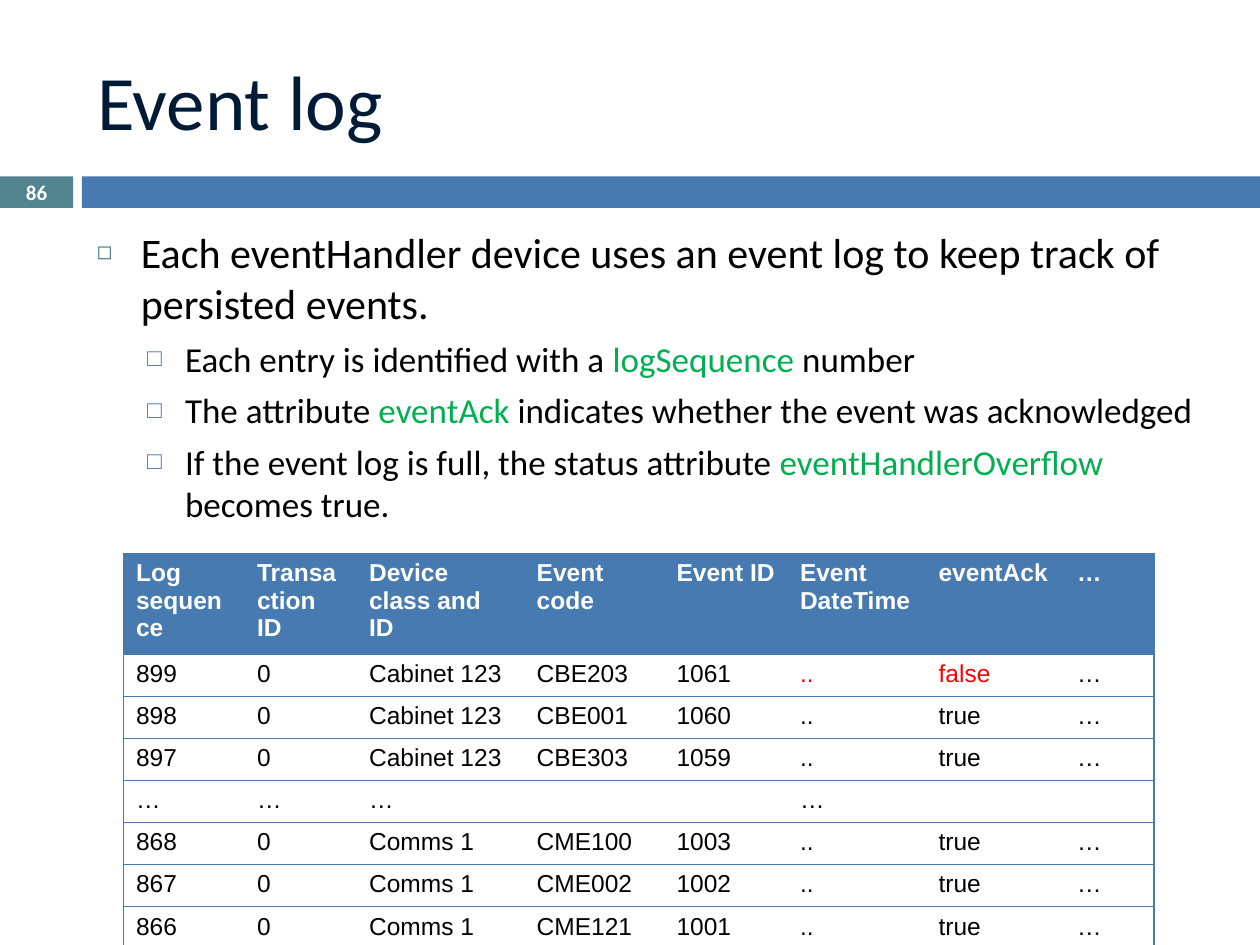
from lxml import etree
from pptx import Presentation
from pptx.dml.color import RGBColor
from pptx.enum.shapes import MSO_SHAPE
from pptx.enum.text import MSO_ANCHOR, MSO_AUTO_SIZE, PP_ALIGN
from pptx.oxml.ns import qn
from pptx.util import Emu, Inches, Pt

RECTANGLE = MSO_SHAPE.RECTANGLE
MIDDLE = MSO_ANCHOR.MIDDLE
NO_AUTOFIT = MSO_AUTO_SIZE.NONE
LEFT, CENTER = PP_ALIGN.LEFT, PP_ALIGN.CENTER

COLORS = {
    "title": "001B36", "text": "000000", "white": "FFFFFF", "blue": "477AB1",
    "teal": "51848E", "keyword": "00B050", "alert": "FF0000",
}
TITLE_ONLY = 5
NO_TABLE_STYLE = "{2D5ABB26-0587-4C30-8999-92F81FD0307C}"

MARGIN, CONTENT_WIDTH = 0.67, 8.92
BAND_TOP, BAND_HEIGHT = 1.4, 0.25
NUMBER_WIDTH, BAND_LEFT = 0.58, 0.65

# Per level: indent, hanging, space before, size, bullet, bullet colour, bullet %
LEVELS = [
    (0.35, 0.35, 7, 24, "◻", "teal", 60),
    (0.7, 0.3, 5.5, 20, "□", "blue", 70),
]
# Each point: level, then (text, colour) runs
POINTS = [
    (0, [("Each eventHandler device uses an event log to keep track of "
          "persisted events.", "text")]),
    (1, [("Each entry is identified with a ", "text"),
         ("logSequence", "keyword"), (" number", "text")]),
    (1, [("The attribute ", "text"), ("eventAck", "keyword"),
         (" indicates whether the event was acknowledged", "text")]),
    (1, [("If the event log is full, the status attribute ", "text"),
         ("eventHandlerOverflow", "keyword"), (" becomes true.", "text")]),
]

LOG_COLUMNS = [
    ("Log sequence", 0.96), ("Transaction ID", 0.89),
    ("Device class and ID", 1.33), ("Event code", 1.11), ("Event ID", 0.98),
    ("Event DateTime", 1.1), ("eventAck", 1.1), ("…", 0.71),
]
LOG_ROWS = [
    ("899", "0", "Cabinet 123", "CBE203", "1061", "..", "false", "…"),
    ("898", "0", "Cabinet 123", "CBE001", "1060", "..", "true", "…"),
    ("897", "0", "Cabinet 123", "CBE303", "1059", "..", "true", "…"),
    ("…", "…", "…", "", "", "…", "", ""),
    ("868", "0", "Comms 1", "CME100", "1003", "..", "true", "…"),
    ("867", "0", "Comms 1", "CME002", "1002", "..", "true", "…"),
    ("866", "0", "Comms 1", "CME121", "1001", "..", "true", "…"),
]
ALERT_CELLS = {(1, 5), (1, 6)}
# Minimum heights: each row grows to fit its text
HEADER_HEIGHT, ROW_HEIGHT, LOG_HEIGHT = 0.4, 0.24, 2.9
LOG_TEXT_SIZE = 14


def rgb(name):
    return RGBColor.from_string(COLORS[name])


def add_run(paragraph, text, size, color, font="Calibri", bold=False):
    run = paragraph.add_run()
    run.text = text
    run.font.size = Pt(size)
    run.font.name = font
    run.font.bold = bold
    run.font.color.rgb = rgb(color)


def add_title(slide, text):
    title = slide.shapes.title
    title.left, title.top = Inches(MARGIN), Inches(0.25)
    title.width, title.height = Inches(CONTENT_WIDTH), Inches(1.08)
    frame = title.text_frame
    frame.auto_size = NO_AUTOFIT
    frame.vertical_anchor = MIDDLE
    frame.paragraphs[0].alignment = LEFT
    add_run(frame.paragraphs[0], text, 44, "title")


def add_band(slide, left, width, color):
    band = slide.shapes.add_shape(RECTANGLE, Inches(left), Inches(BAND_TOP),
                                  Inches(width), Inches(BAND_HEIGHT))
    band.shadow.inherit = False
    band.fill.solid()
    band.fill.fore_color.rgb = rgb(color)
    band.line.fill.background()


def add_text_box(slide, left, top, width, height):
    box = slide.shapes.add_textbox(Inches(left), Inches(top),
                                   Inches(width), Inches(height))
    box.text_frame.word_wrap = True
    return box.text_frame


def add_page_number(slide, number):
    frame = add_text_box(slide, 0, BAND_TOP, NUMBER_WIDTH, BAND_HEIGHT)
    frame.margin_top = frame.margin_bottom = 0
    frame.vertical_anchor = MIDDLE
    frame.paragraphs[0].alignment = CENTER
    add_run(frame.paragraphs[0], number, 12, "white", bold=True)


def set_bullet(paragraph, indent, hanging, char, color, percent):
    props = paragraph._p.get_or_add_pPr()
    props.set("marL", str(Inches(indent)))
    props.set("indent", str(-Inches(hanging)))
    bullet_color = etree.SubElement(props, qn("a:buClr"))
    etree.SubElement(bullet_color, qn("a:srgbClr"), val=COLORS[color])
    etree.SubElement(props, qn("a:buSzPct"), val=str(percent * 1000))
    etree.SubElement(props, qn("a:buFont"), typeface="Arial")
    etree.SubElement(props, qn("a:buChar"), char=char)


def add_points(slide):
    frame = add_text_box(slide, MARGIN, 1.75, CONTENT_WIDTH, 2.31)
    for index, (level, runs) in enumerate(POINTS):
        paragraph = frame.add_paragraph() if index else frame.paragraphs[0]
        indent, hanging, before, size, char, color, percent = LEVELS[level]
        paragraph.level = level
        paragraph.space_before = Pt(before)
        set_bullet(paragraph, indent, hanging, char, color, percent)
        for text, run_color in runs:
            add_run(paragraph, text, size, run_color)


def set_borders(cell, sides):
    props = cell._tc.get_or_add_tcPr()
    for side in sides:
        line = etree.SubElement(props, qn(f"a:ln{side}"), w=str(Pt(0.79)))
        fill = etree.SubElement(line, qn("a:solidFill"))
        etree.SubElement(fill, qn("a:srgbClr"), val=COLORS["blue"])


def format_log_cell(cell, text, row, column):
    is_header = row == 0
    set_borders(cell, ("L" if column == 0 else "")
                + ("R" if column == len(LOG_COLUMNS) - 1 else "") + "TB")
    if is_header:
        cell.fill.solid()
        cell.fill.fore_color.rgb = rgb("blue")
    else:
        cell.fill.background()
    color = "white" if is_header else "text"
    if (row, column) in ALERT_CELLS:
        color = "alert"
    paragraph = cell.text_frame.paragraphs[0]
    if text:
        add_run(paragraph, text, LOG_TEXT_SIZE, color, "Arial", is_header)
    else:
        # An empty cell must not stretch its row with the default text size
        etree.SubElement(paragraph._p, qn("a:endParaRPr"),
                         sz=str(LOG_TEXT_SIZE * 100))


def add_event_log(slide):
    headers, widths = zip(*LOG_COLUMNS)
    rows = [headers] + LOG_ROWS
    log = slide.shapes.add_table(
        len(rows), len(headers), Inches(0.98), Inches(4.39),
        Emu(sum(Inches(width) for width in widths)), Inches(LOG_HEIGHT))
    table = log.table
    table.horz_banding = False
    table._tbl.tblPr.find(qn("a:tableStyleId")).text = NO_TABLE_STYLE
    for column, width in zip(table.columns, widths):
        column.width = Inches(width)
    for r, texts in enumerate(rows):
        table.rows[r].height = Inches(ROW_HEIGHT if r else HEADER_HEIGHT)
        for c, text in enumerate(texts):
            format_log_cell(table.cell(r, c), text, r, c)
    log.height = Inches(LOG_HEIGHT)


def main():
    deck = Presentation()
    deck.slide_width, deck.slide_height = Inches(10), Inches(7.5)
    slide = deck.slides.add_slide(deck.slide_layouts[TITLE_ONLY])
    add_band(slide, 0, NUMBER_WIDTH, "teal")
    add_band(slide, BAND_LEFT, 10 - BAND_LEFT, "blue")
    add_title(slide, "Event log")
    add_points(slide)
    add_page_number(slide, "86")
    add_event_log(slide)
    deck.save("out.pptx")


if __name__ == "__main__":
    main()
